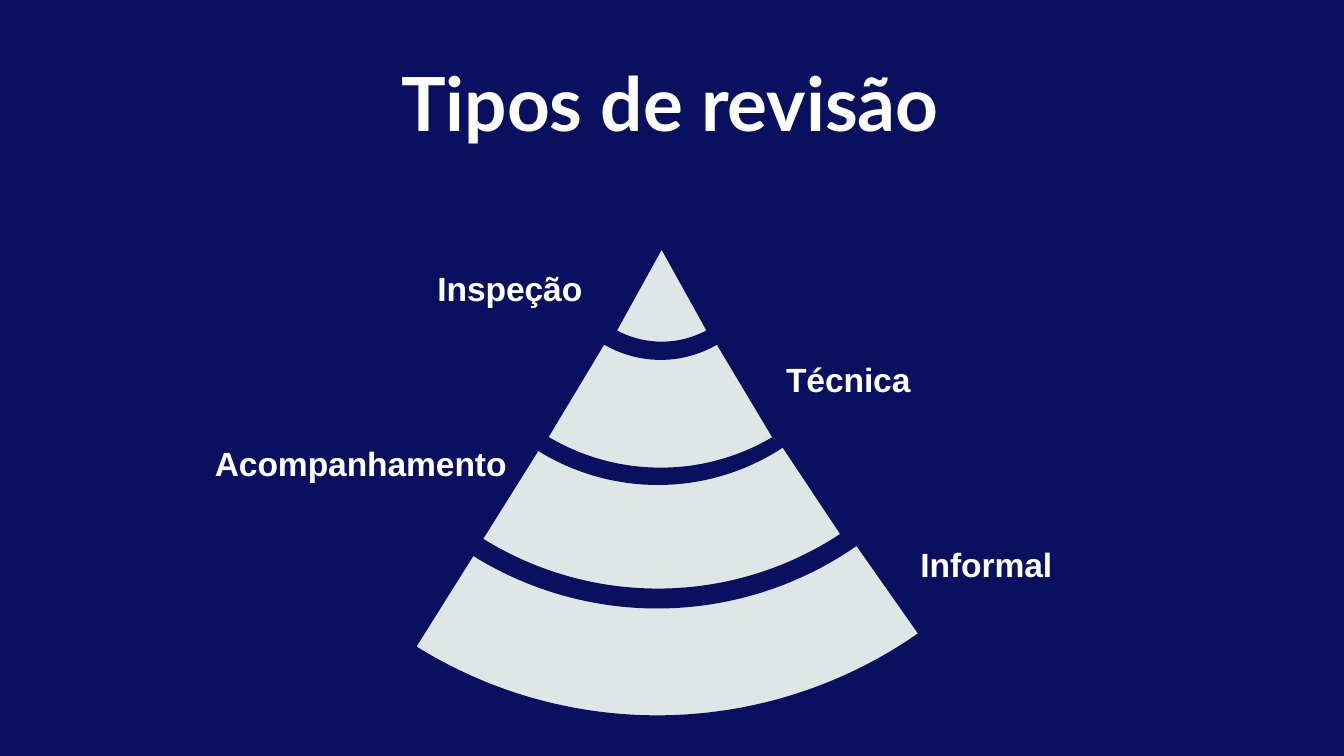
"""Build a slide with a fan of four review types."""
from typing import NamedTuple

from pptx import Presentation
from pptx.dml.color import RGBColor
from pptx.enum.shapes import MSO_SHAPE as Shape
from pptx.enum.text import MSO_ANCHOR as Anchor, PP_ALIGN as Align
from pptx.slide import Slide
from pptx.util import Inches, Pt

NAVY = RGBColor(0x09, 0x10, 0x60)
MIST = RGBColor(0xDE, 0xE7, 0xE5)
WHITE = RGBColor(0xFF, 0xFF, 0xFF)
WIDE = Inches(10)
HIGH = WIDE * 9 // 16
CELL = WIDE / 100
TURN = 216


class Arc(NamedTuple):
    """A ring sector, with centre and size in cells and angles in degrees."""
    x: float
    y: float
    size: float
    turn: float
    start: float
    end: float
    band: float


class Label(NamedTuple):
    """A line of text with its box in cells."""
    text: str
    x: float
    y: float
    wide: float
    high: float
    font: str = "Arial"
    size: int = 18
    inset: float = 0.5
    track: int = -5
    align: Align = Align.LEFT


ARCS = [
    Arc(48.9, 19.33, 68, 121.9, 293.03, 0.17, 0.12),
    Arc(48.95, 19.15, 49.5, 121.8, 294.59, 0.26, 0.16),
    Arc(49.15, 18.45, 32.9, 121, 298.14, 0, 0.25),
    Arc(49.22, 18.38, 14.3, 93, 327.96, 25.94, 0.49),
]
LABELS = [
    Label("Tipos de revisão", 22.2, 3.2, 55.3, 6.8, "Lato", 40, 1, 0, Align.CENTER),
    Label("Inspeção", 31.56, 19.44, 15.9, 6.6),
    Label("Técnica", 57.5, 26.2, 12.5, 3.8),
    Label("Acompanhamento", 15, 32.5, 27.5, 6.6),
    Label("Informal", 67.5, 40, 12.5, 3.8),
]


def cells(*nums: float) -> list[int]:
    """Turn cells into slide units."""
    return [round(num * CELL) for num in nums]


def draw_arc(slide: Slide, arc: Arc) -> None:
    """Draw one sector of the fan."""
    half = arc.size / 2
    box = cells(arc.x - half, arc.y - half, arc.size, arc.size)
    shape = slide.shapes.add_shape(Shape.BLOCK_ARC, *box)
    shape.rotation = arc.turn
    shape.shadow.inherit = False
    shape.adjustments[0] = arc.start / 360 * TURN
    shape.adjustments[1] = arc.end / 360 * TURN
    shape.adjustments[2] = arc.band
    shape.fill.solid()
    shape.fill.fore_color.rgb = MIST
    shape.line.color.rgb = NAVY
    shape.line.width = Pt(1.5)


def draw_label(slide: Slide, label: Label) -> None:
    """Write one text box."""
    box = cells(label.x, label.y, label.wide, label.high)
    frame = slide.shapes.add_textbox(*box).text_frame
    frame.word_wrap = True
    frame.vertical_anchor = Anchor.TOP
    frame.margin_left, frame.margin_right = cells(1, 1)
    frame.margin_top, frame.margin_bottom = cells(label.inset, label.inset)
    para = frame.paragraphs[0]
    para.alignment = label.align
    run = para.add_run()
    run.text = label.text
    font = run.font
    font.name, font.size, font.bold = label.font, Pt(label.size), True
    font.color.rgb = WHITE
    if label.track:
        run._r.get_or_add_rPr().set("spc", str(label.track))


def main() -> None:
    """Build and save the deck."""
    deck = Presentation()
    deck.slide_width, deck.slide_height = WIDE, HIGH
    slide = deck.slides.add_slide(deck.slide_layouts[6])
    fill = slide.background.fill
    fill.solid()
    fill.fore_color.rgb = NAVY
    for arc in ARCS:
        draw_arc(slide, arc)
    for label in LABELS:
        draw_label(slide, label)
    deck.save("out.pptx")


if __name__ == "__main__":
    main()
